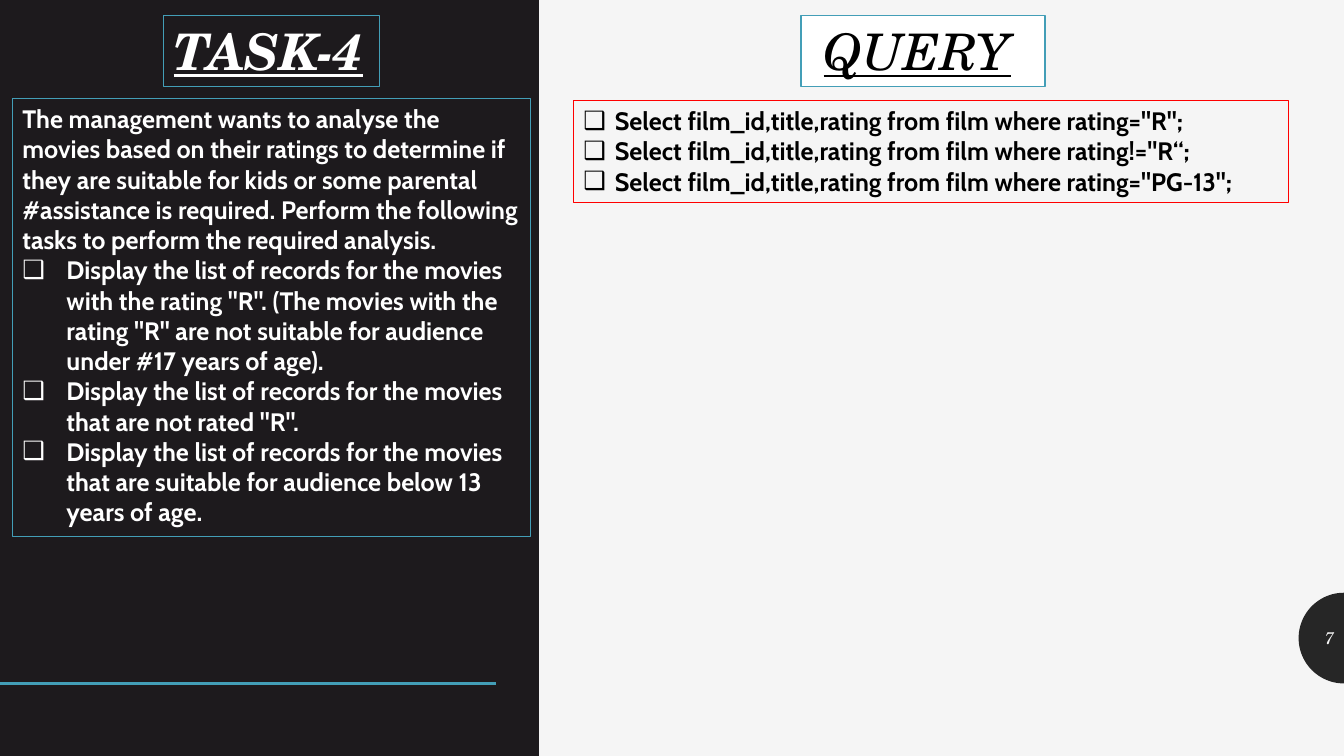
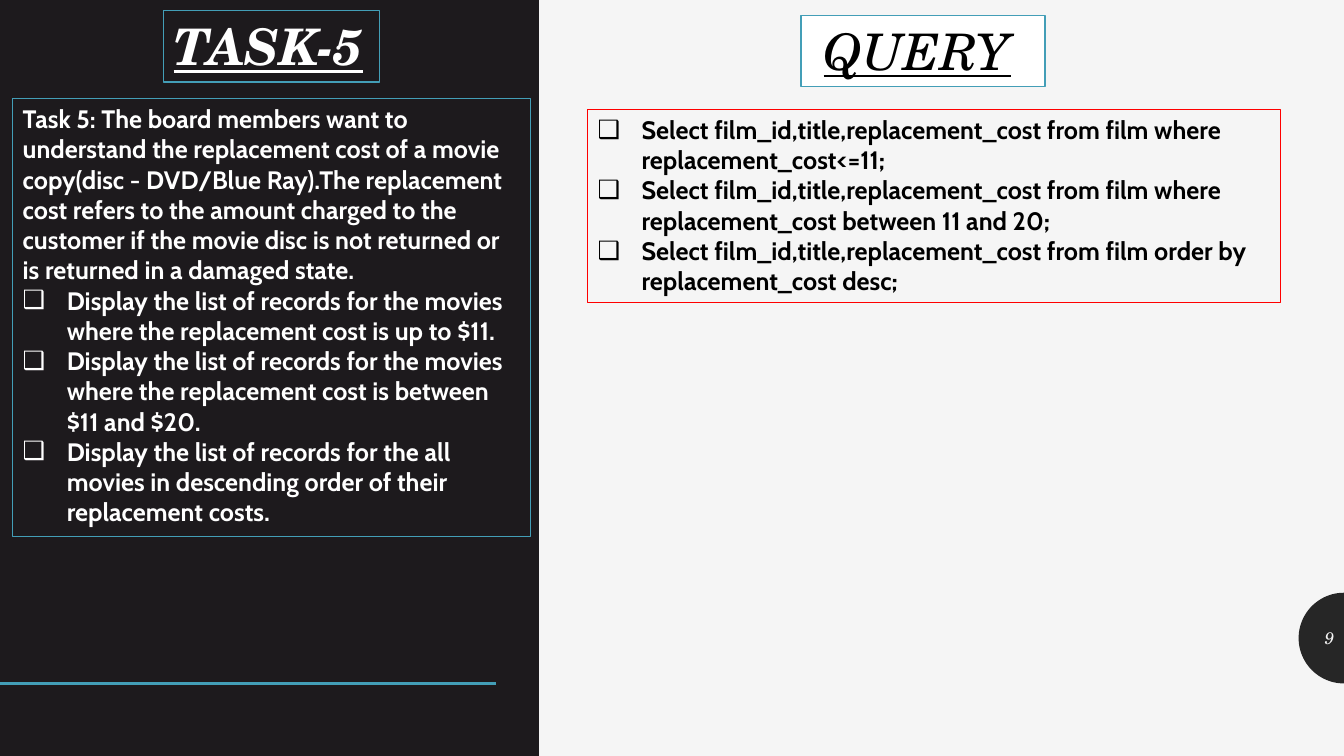
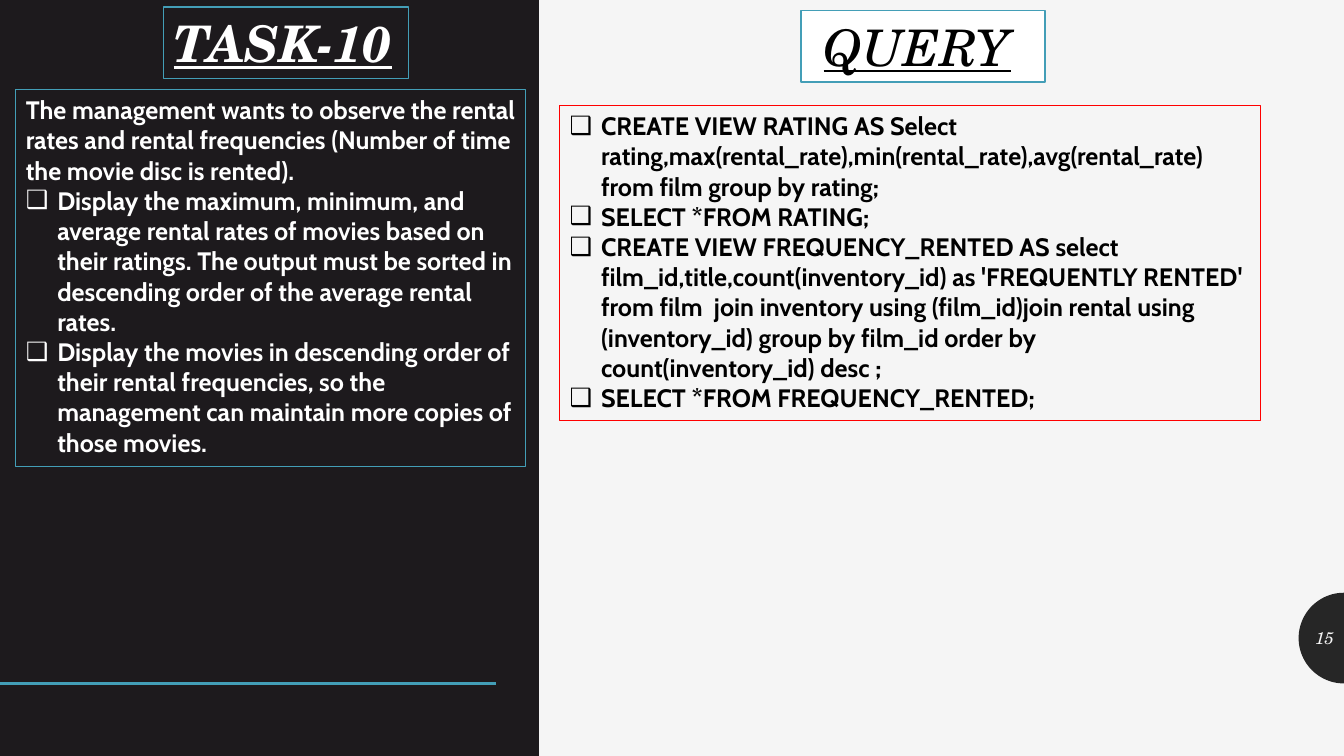
from dataclasses import dataclass
from math import cos, pi, sin

from lxml import etree
from pptx import Presentation
from pptx.dml.color import RGBColor
from pptx.enum.shapes import MSO_CONNECTOR, MSO_SHAPE
from pptx.enum.text import MSO_ANCHOR, MSO_AUTO_SIZE, PP_ALIGN
from pptx.oxml.ns import qn
from pptx.util import Pt

RECTANGLE = MSO_SHAPE.RECTANGLE
STRAIGHT = MSO_CONNECTOR.STRAIGHT
TOP, MIDDLE, BOTTOM = MSO_ANCHOR.TOP, MSO_ANCHOR.MIDDLE, MSO_ANCHOR.BOTTOM
LEFT, CENTER, RIGHT = PP_ALIGN.LEFT, PP_ALIGN.CENTER, PP_ALIGN.RIGHT
FIXED = MSO_AUTO_SIZE.NONE

PAPER = RGBColor(0xF5, 0xF5, 0xF5)
INK = RGBColor(0x1D, 0x1A, 0x1D)
BADGE = RGBColor(0x26, 0x26, 0x26)
TEAL = RGBColor(0x43, 0x9E, 0xB7)
RED = RGBColor(0xFF, 0x00, 0x00)
WHITE = RGBColor(0xFF, 0xFF, 0xFF)
BLACK = RGBColor(0x00, 0x00, 0x00)

SERIF = "TeX Gyre Schola"
SANS = "Cabin"
BULLET = "❑"
WIDE_INDENT, NARROW_INDENT = 31.5, 22.5

SLIDE_W, SLIDE_H = 960, 540
PANEL_W = 385
RULE_Y, RULE_END = 488, 354
BADGE_RADIUS, BADGE_Y = 32.4, 455.8
TWO_CONTENT = 3


@dataclass
class Task:
    number: int
    page: int
    heading_top: float
    heading_width: float
    query_top: float
    task_box: tuple
    task_indent: float
    intro: str
    steps: list
    query_box: tuple
    query_indent: float
    queries: list


TASKS = [
    Task(
        number=4, page=7, heading_top=10.9, heading_width=154, query_top=10.9,
        task_box=(8.8, 70.3, 370, 312.7), task_indent=WIDE_INDENT,
        intro="The management wants to analyse the movies based on their ratings "
              "to determine if they are suitable for kids or some parental "
              "#assistance is required. Perform the following tasks to perform "
              "the required analysis.",
        steps=[
            'Display the list of records for the movies with the rating "R". '
            '(The movies with the rating "R" are not suitable for audience '
            "under #17 years of age).",
            'Display the list of records for the movies that are not rated "R".',
            "Display the list of records for the movies that are suitable for "
            "audience below 13 years of age.",
        ],
        query_box=(409.5, 71.7, 510.7, 72.7), query_indent=NARROW_INDENT,
        queries=[
            'Select film_id,title,rating from film where rating="R";',
            'Select film_id,title,rating from film where rating!="R“;',
            'Select film_id,title,rating from film where rating="PG-13";',
        ],
    ),
    Task(
        number=5, page=9, heading_top=7.6, heading_width=154, query_top=10.9,
        task_box=(9, 70.3, 369.7, 312.7), task_indent=WIDE_INDENT,
        intro="Task 5: The board members want to understand the replacement cost "
              "of a movie copy(disc - DVD/Blue Ray).The replacement cost refers "
              "to the amount charged to the customer if the movie disc is not "
              "returned or is returned in a damaged state.",
        steps=[
            "Display the list of records for the movies where the replacement "
            "cost is up to $11.",
            "Display the list of records for the movies where the replacement "
            "cost is between $11 and $20.",
            "Display the list of records for the all movies in descending order "
            "of their replacement costs.",
        ],
        query_box=(419.6, 78, 495, 138), query_indent=WIDE_INDENT,
        queries=[
            "Select film_id,title,replacement_cost from film where "
            "replacement_cost<=11;",
            "Select film_id,title,replacement_cost from film where "
            "replacement_cost between 11 and 20;",
            "Select film_id,title,replacement_cost from film order by "
            "replacement_cost desc;",
        ],
    ),
    Task(
        number=10, page=15, heading_top=5, heading_width=174.5, query_top=7.6,
        task_box=(11.2, 63.8, 364.3, 269.3), task_indent=NARROW_INDENT,
        intro="The management wants to observe the rental rates and rental "
              "frequencies (Number of time the movie disc is rented).",
        steps=[
            "Display the maximum, minimum, and average rental rates of movies "
            "based on their ratings. The output must be sorted in descending "
            "order of the average rental rates.",
            "Display the movies in descending order of their rental frequencies, "
            "so the management can maintain more copies of those movies.",
        ],
        query_box=(399.6, 75.2, 500.7, 225), query_indent=NARROW_INDENT,
        queries=[
            "CREATE VIEW RATING AS Select "
            "rating,max(rental_rate),min(rental_rate),avg(rental_rate) "
            "from film group by rating;",
            "SELECT *FROM RATING;",
            "CREATE VIEW FREQUENCY_RENTED AS select "
            "film_id,title,count(inventory_id) as 'FREQUENTLY RENTED' from film  "
            "join inventory using (film_id)join rental using (inventory_id) "
            "group by film_id order by count(inventory_id) desc ;",
            "SELECT *FROM FREQUENCY_RENTED;",
        ],
    ),
]


def write(paragraph, text, font=SANS, size=18, color=BLACK, bold=False,
          italic=False, underline=False):
    run = paragraph.add_run()
    run.text = text
    style = run.font
    style.name, style.size = font, Pt(size)
    style.bold, style.italic, style.underline = bold, italic, underline
    style.color.rgb = color


def place(shape, left, top, width, height):
    shape.left, shape.top = Pt(left), Pt(top)
    shape.width, shape.height = Pt(width), Pt(height)


def outline(shape, color, width=0.75):
    shape.line.color.rgb = color
    shape.line.width = Pt(width)


def set_frame(shape, anchor, wrap=True):
    frame = shape.text_frame
    frame.auto_size = FIXED
    frame.word_wrap = wrap
    frame.vertical_anchor = anchor
    return frame


def set_bullet(paragraph, indent):
    """Hang the paragraph on a box bullet; an indent of 0 removes the bullet."""
    props = paragraph._p.get_or_add_pPr()
    props.set("marL", str(Pt(indent)))
    props.set("indent", str(-Pt(indent)))
    if indent:
        etree.SubElement(props, qn("a:buChar")).set("char", BULLET)
    else:
        etree.SubElement(props, qn("a:buNone"))


def fill_list(body, box, items, color, border):
    """Fill a body placeholder with (text, indent) items inside a border."""
    place(body, *box)
    outline(body, border)
    frame = set_frame(body, TOP)
    for index, (text, indent) in enumerate(items):
        paragraph = frame.add_paragraph() if index else frame.paragraphs[0]
        paragraph.alignment = LEFT
        paragraph.space_before = Pt(0)
        set_bullet(paragraph, indent)
        write(paragraph, text, color=color, bold=True)


def paint(shape, color):
    shape.shadow.inherit = False
    shape.fill.solid()
    shape.fill.fore_color.rgb = color
    shape.line.fill.background()


def add_half_disc(shapes):
    points = [(100 * (SLIDE_W - BADGE_RADIUS * sin(pi * step / 48)),
               100 * (BADGE_Y - BADGE_RADIUS * cos(pi * step / 48)))
              for step in range(49)]
    builder = shapes.build_freeform(*points[0], scale=Pt(0.01))
    builder.add_line_segments(points[1:], close=True)
    disc = builder.convert_to_shape()
    paint(disc, BADGE)
    return disc


def add_rule(shapes):
    rule = shapes.add_connector(STRAIGHT, Pt(0), Pt(RULE_Y), Pt(RULE_END), Pt(RULE_Y))
    outline(rule, TEAL, 2)
    etree.SubElement(rule._element.spPr, qn("a:effectLst"))
    return rule


def decorate_layout(layout, shapes):
    """Draw the shared decoration and move it from the slide to its layout."""
    panel = shapes.add_shape(RECTANGLE, Pt(0), Pt(0), Pt(PANEL_W), Pt(SLIDE_H))
    paint(panel, INK)
    decoration = [add_half_disc(shapes), panel, add_rule(shapes)]
    for number, shape in enumerate(decoration, start=101):
        shape._element.xpath(".//p:cNvPr")[0].set("id", str(number))
        layout.shapes._spTree.append(shape._element)


def add_page_number(slide, page):
    box = slide.shapes.add_textbox(Pt(928), Pt(441.5), Pt(32), Pt(28.8))
    paragraph = set_frame(box, MIDDLE).paragraphs[0]
    paragraph.alignment = RIGHT
    write(paragraph, str(page), font=SERIF, size=12, color=PAPER, italic=True)


def add_task_heading(slide, task):
    box = slide.shapes.add_textbox(Pt(117), Pt(task.heading_top),
                                   Pt(task.heading_width), Pt(51))
    outline(box, TEAL)
    write(set_frame(box, TOP, wrap=False).paragraphs[0], f"TASK-{task.number}",
          font=SERIF, size=36, color=WHITE, bold=True, italic=True, underline=True)


def set_query_title(title, top):
    place(title, 572.3, top, 174.3, 51)
    title.fill.solid()
    title.fill.fore_color.rgb = WHITE
    outline(title, TEAL, 1)
    paragraph = set_frame(title, BOTTOM).paragraphs[0]
    paragraph.alignment = CENTER
    paragraph.line_spacing = 0.9
    write(paragraph, "QUERY", font=SERIF, size=36, italic=True, underline=True)
    write(paragraph, " ", size=36)


def fill_slide(slide, task):
    title, task_body, query_body = slide.placeholders
    set_query_title(title, task.query_top)
    steps = [(task.intro, 0)] + [(step, task.task_indent) for step in task.steps]
    fill_list(task_body, task.task_box, steps, WHITE, TEAL)
    queries = [(query, task.query_indent) for query in task.queries]
    fill_list(query_body, task.query_box, queries, BLACK, RED)
    add_task_heading(slide, task)
    add_page_number(slide, task.page)


def main():
    deck = Presentation()
    deck.slide_width, deck.slide_height = Pt(SLIDE_W), Pt(SLIDE_H)
    background = deck.slide_master.background.fill
    background.solid()
    background.fore_color.rgb = PAPER
    layout = deck.slide_layouts[TWO_CONTENT]
    slides = [deck.slides.add_slide(layout) for _ in TASKS]
    decorate_layout(layout, slides[0].shapes)
    for slide, task in zip(slides, TASKS):
        fill_slide(slide, task)
    deck.save("out.pptx")


if __name__ == "__main__":
    main()
